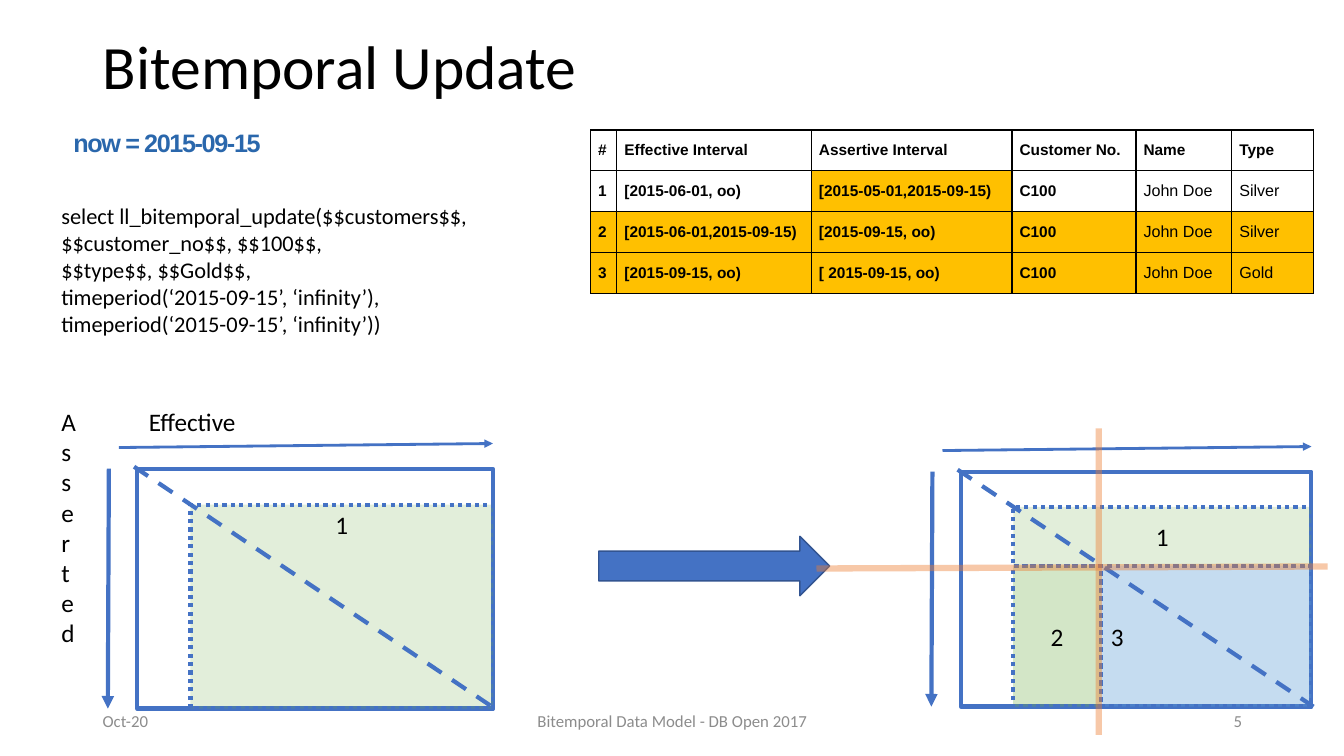
import dataclasses

import lxml.etree
import pptx
import pptx.dml.color
import pptx.enum.dml
import pptx.enum.shapes
import pptx.enum.text
import pptx.oxml.ns
import pptx.util

ALIGN = pptx.enum.text.PP_ALIGN
ANCHOR = pptx.enum.text.MSO_ANCHOR
DASH = pptx.enum.dml.MSO_LINE
SHAPE = pptx.enum.shapes.MSO_SHAPE


@dataclasses.dataclass(frozen=True)
class Theme:
    ink: str = "000000"
    muted: str = "8C8C8C"
    heading: str = "2A67AC"
    blue: str = "4472C4"
    dark_blue: str = "325491"
    sky: str = "5B9BD5"
    green: str = "70AD47"
    orange: str = "ED7D31"
    amber: str = "FFC000"
    body_font: str = "Calibri"
    data_font: str = "Arial"
    title: float = 44
    label: float = 18
    code: float = 16
    footer: float = 12
    cell: float = 11
    plain_cell: float = 11.5


THEME = Theme()
HEADERS = ["#", "Effective Interval", "Assertive Interval", "Customer No.", "Name", "Type"]
RECORDS = [
    ["1", "[2015-06-01, oo)", "[2015-05-01,2015-09-15)", "C100", "John Doe", "Silver"],
    ["2", "[2015-06-01,2015-09-15)", "[2015-09-15, oo)", "C100", "John Doe", "Silver"],
    ["3", "[2015-09-15, oo)", "[ 2015-09-15, oo)", "C100", "John Doe", "Gold"],
]
COLUMNS = [2.6, 19.3, 19.9, 12.3, 9.5, 8.1]
UPDATE_CALL = [
    "select ll_bitemporal_update($$customers$$,",
    "$$customer_no$$, $$100$$,",
    "$$type$$, $$Gold$$,",
    "timeperiod(‘2015-09-15’, ‘infinity’),",
    "timeperiod(‘2015-09-15’, ‘infinity’))",
]


def grid(*cells):
    return [pptx.util.Inches(cell / 10) for cell in cells]


def rgb(value):
    return pptx.dml.color.RGBColor.from_string(value)


def add_tag(parent, tag, **attributes):
    return lxml.etree.SubElement(parent, pptx.oxml.ns.qn(tag), attributes)


def fade(holder, percent):
    color = holder.find(pptx.oxml.ns.qn("a:solidFill"))[0]
    add_tag(color, "a:alpha", val=str(percent * 1000))


def write(frame, lines, size=THEME.label, color=THEME.ink, font=THEME.body_font, bold=False,
          align=ALIGN.LEFT, anchor=ANCHOR.TOP, spacing=1.0, tracking=0):
    frame.word_wrap = True
    frame.vertical_anchor = anchor
    for index, line in enumerate(lines):
        para = frame.add_paragraph() if index else frame.paragraphs[0]
        para.alignment = align
        para.line_spacing = spacing
        span = para.add_run()
        span.text = line
        span.font.size = pptx.util.Pt(size)
        span.font.name = font
        span.font.bold = bold
        span.font.color.rgb = rgb(color)
        if tracking:
            span.font._element.set("spc", str(tracking * 100))


def add_label(page, area, lines, vertical=None, **style):
    box = page.shapes.add_textbox(*grid(*area))
    write(box.text_frame, lines, **style)
    if vertical:
        box.text_frame._txBody.bodyPr.set("vert", vertical)


def add_block(page, area, preset=SHAPE.RECTANGLE, fill=None, alpha=100,
              outline=THEME.blue, weight=3, dash=None):
    block = page.shapes.add_shape(preset, *grid(*area))
    block.shadow.inherit = False
    if fill:
        block.fill.solid()
        block.fill.fore_color.rgb = rgb(fill)
        fade(block._element.spPr, alpha)
    else:
        block.fill.background()
    block.line.color.rgb = rgb(outline)
    block.line.width = pptx.util.Pt(weight)
    if dash:
        block.line.dash_style = dash
    return block


def add_line(page, start, end, color=THEME.blue, weight=3, dash=None, arrow=False, alpha=100):
    kind = pptx.enum.shapes.MSO_CONNECTOR.STRAIGHT
    line = page.shapes.add_connector(kind, *grid(*start, *end))
    line.line.color.rgb = rgb(color)
    line.line.width = pptx.util.Pt(weight)
    if dash:
        line.line.dash_style = dash
    stroke = line.line._get_or_add_ln()
    if alpha < 100:
        fade(stroke, alpha)
    if arrow:
        add_tag(stroke, "a:tailEnd", type="triangle")
    add_tag(line._element.spPr, "a:effectLst")


def add_time_chart(page, left, top, width, height, regions):
    right, bottom = left + width, top + height
    add_block(page, (left, top, width, height))
    for name, (x, y, w, h), fill, alpha, align, anchor in regions:
        area = (left + x * width, top + y * height, w * width, h * height)
        region = add_block(page, area, fill=fill, alpha=alpha, dash=DASH.ROUND_DOT)
        write(region.text_frame, [name], align=align, anchor=anchor)
    add_line(page, (left - 1.8, top - 2.1), (right, top - 2.5), weight=2, arrow=True)
    add_line(page, (left - 0.3, top - 0.2), (right + 0.2, bottom), dash=DASH.DASH)
    add_line(page, (left - 2.8, top), (left - 2.9, bottom), arrow=True)


def add_borders(cell):
    properties = cell._tc.get_or_add_tcPr()
    for index, side in enumerate(["a:lnL", "a:lnR", "a:lnT", "a:lnB"]):
        edge = add_tag(properties, side, w=str(pptx.util.Pt(1)))
        add_tag(add_tag(edge, "a:solidFill"), "a:srgbClr", val=THEME.ink)
        properties.insert(index, edge)


def add_record_table(page):
    rows = [HEADERS] + RECORDS
    area = grid(58.6, 12.9, sum(COLUMNS), 16.2)
    table = page.shapes.add_table(len(rows), len(COLUMNS), *area).table
    table.first_row = table.horz_banding = False
    for column, width in zip(table.columns, COLUMNS):
        column.width = grid(width)[0]
    for r, values in enumerate(rows):
        table.rows[r].height = grid(4.05)[0]
        for c, value in enumerate(values):
            cell = table.cell(r, c)
            cell.margin_right = cell.margin_top = cell.margin_bottom = 0
            cell.margin_left = grid(0.75)[0]
            cell.vertical_anchor = ANCHOR.MIDDLE
            if r > 1 or (r, c) == (1, 2):
                cell.fill.solid()
                cell.fill.fore_color.rgb = rgb(THEME.amber)
            else:
                cell.fill.background()
            plain = r > 0 and c > 3
            write(cell.text_frame, [value], font=THEME.data_font, bold=not plain,
                  size=THEME.plain_cell if plain else THEME.cell, anchor=ANCHOR.MIDDLE)
            add_borders(cell)


def add_title(page, text):
    title = page.shapes.title
    title.left, title.top, title.width, title.height = grid(9.2, 2.2, 115, 9.3)
    write(title.text_frame, [text], size=THEME.title, anchor=ANCHOR.MIDDLE, spacing=0.9)


def main():
    deck = pptx.Presentation()
    deck.slide_width, deck.slide_height = grid(133.33, 75)
    page = deck.slides.add_slide(deck.slide_layouts[5])
    add_title(page, "Bitemporal Update")
    add_record_table(page)
    add_label(page, (5.1, 39.8, 5.6, 32.4), ["Asserted"], vertical="wordArtVert")
    add_time_chart(page, 13.6, 46.5, 35.3, 23.8, [
        ("1", (0.15, 0.15, 0.85, 0.85), THEME.green, 20, ALIGN.CENTER, ANCHOR.TOP)])
    add_time_chart(page, 95.3, 46.8, 34.8, 23.3, [
        ("3", (0.4, 0.4, 0.6, 0.6), THEME.sky, 35, ALIGN.LEFT, ANCHOR.MIDDLE),
        ("1", (0.15, 0.15, 0.85, 0.25), THEME.green, 20, ALIGN.CENTER, ANCHOR.MIDDLE),
        ("2", (0.15, 0.4, 0.25, 0.6), THEME.green, 30, ALIGN.CENTER, ANCHOR.MIDDLE)])
    add_label(page, (13.8, 39.8, 12.6, 2.7), ["Effective"])
    add_block(page, (59.4, 53.2, 22.9, 5.9), SHAPE.RIGHT_ARROW, fill=THEME.blue,
              outline=THEME.dark_blue, weight=1)
    add_label(page, (6.3, 12.1, 24.8, 4), ["now = 2015-09-15"], color=THEME.heading,
              font=THEME.data_font, bold=True, tracking=-1)
    add_label(page, (5.1, 19.6, 43.9, 17.2), UPDATE_CALL, size=THEME.code)
    for left, width, text, align in [
            (94.2, 30, "5", ALIGN.RIGHT),
            (9.2, 30, "Oct-20", ALIGN.LEFT),
            (44.2, 45, "Bitemporal Data Model - DB Open 2017", ALIGN.CENTER)]:
        add_label(page, (left, 69.5, width, 4), [text], size=THEME.footer,
                  color=THEME.muted, align=align, anchor=ANCHOR.MIDDLE)
    for start, end in [((81, 56.4), (131.7, 56.2)), ((109, 42.5), (109, 72.9))]:
        add_line(page, start, end, color=THEME.orange, weight=4.5, alpha=42)
    deck.save("out.pptx")


main()
